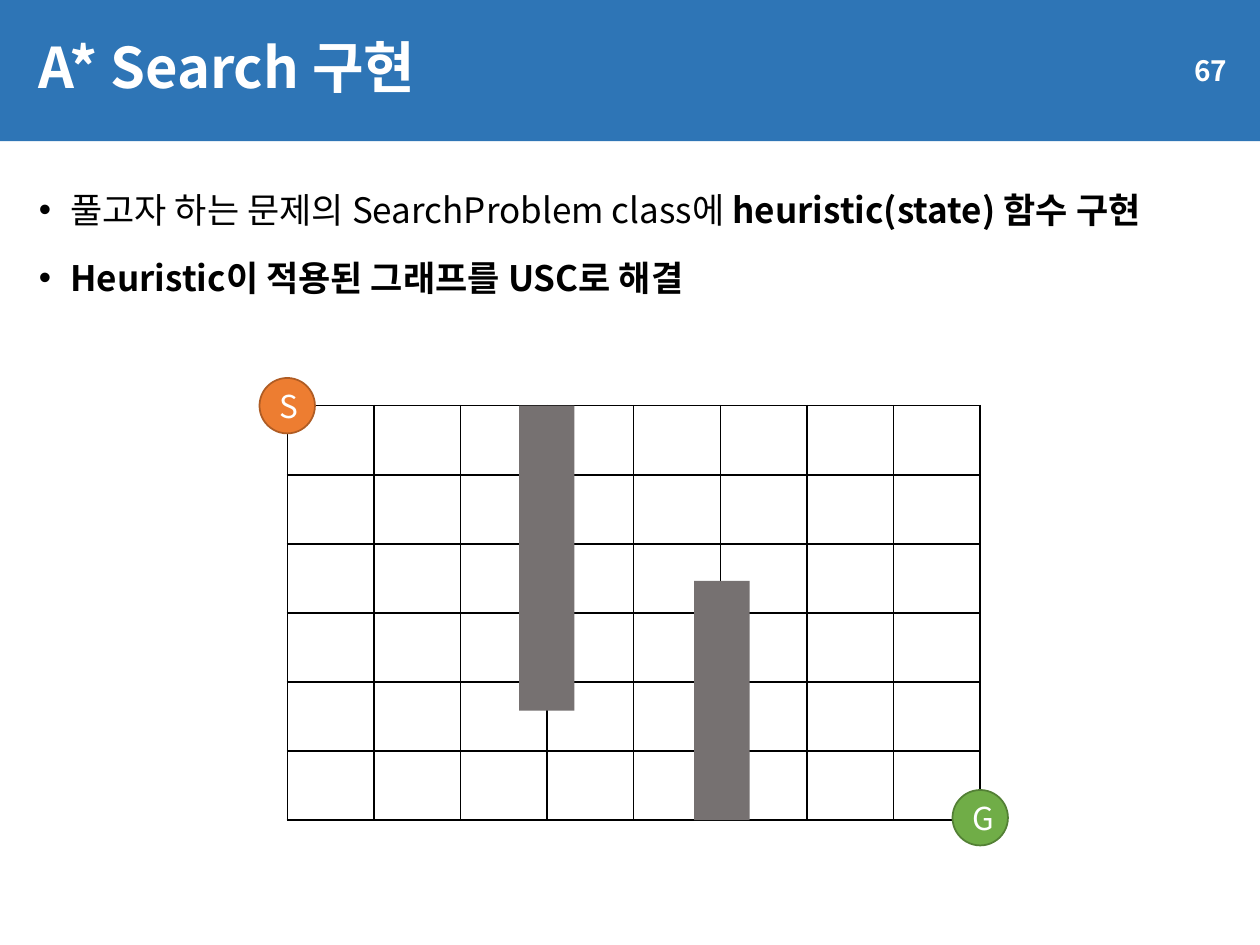
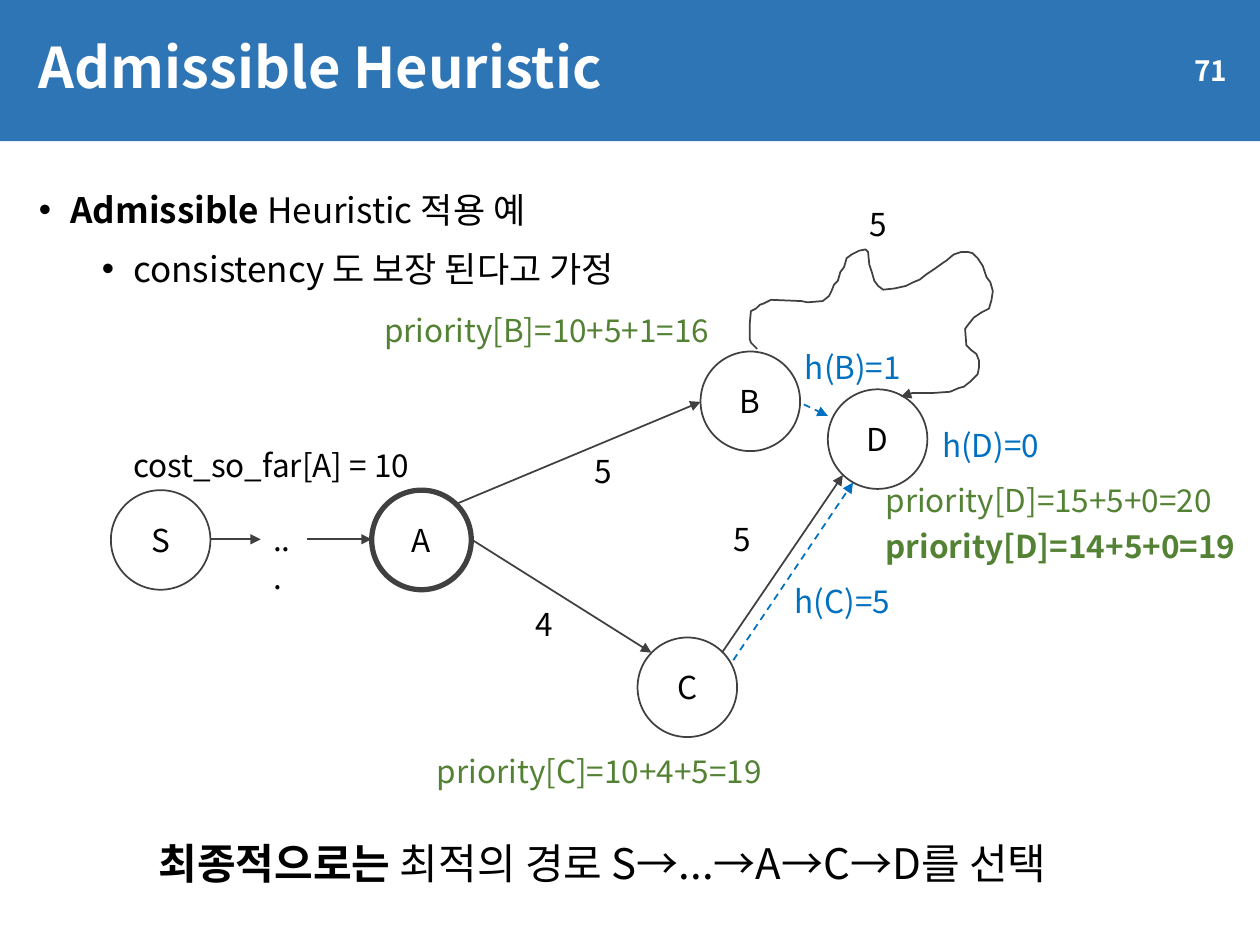
from dataclasses import dataclass
from itertools import product

from lxml.etree import SubElement
from pptx import Presentation
from pptx.dml.color import RGBColor
from pptx.enum.dml import MSO_LINE_DASH_STYLE as DASH
from pptx.enum.shapes import MSO_CONNECTOR, MSO_SHAPE
from pptx.enum.text import MSO_ANCHOR, PP_ALIGN
from pptx.oxml.ns import qn
from pptx.util import Inches, Pt

FONT = "Noto Sans CJK KR"
BAND, WHITE, BLACK, INK = "2E75B6", "FFFFFF", "000000", "404040"
WALL, BLUE, GREEN = "767171", "0070C0", "548235"
NODE_D, MARK_D = 0.79, 0.44


@dataclass
class Run:
    text: str
    bold: bool = False


@dataclass
class Bullet:
    runs: list[Run]
    level: int = 0


@dataclass
class Circle:
    text: str
    x: float
    y: float
    d: float = NODE_D
    fill: str = WHITE
    line: str = INK
    width: float = 1
    color: str = BLACK


@dataclass
class Arrow:
    start: tuple[float, float]
    end: tuple[float, float]
    color: str = INK
    dashed: bool = False


@dataclass
class Label:
    runs: list[Run]
    x: float
    y: float
    w: float
    color: str = BLACK
    size: float = 18
    h: float = 0.4


def rgb(value: str) -> RGBColor:
    return RGBColor.from_string(value)


def add_runs(p, runs: list[Run], size: float, color: str) -> None:
    for run in runs:
        r = p.add_run()
        r.text = run.text
        fmt = {"name": FONT, "size": Pt(size), "bold": run.bold}
        for key, value in fmt.items():
            setattr(r.font, key, value)
        r.font.color.rgb = rgb(color)
        SubElement(r._r.get_or_add_rPr(), qn("a:ea"), typeface=FONT)


def add_shape(s, kind, x: float, y: float, w: float, h: float, fill: str,
              line: str = "", width: float = 1):
    sp = s.shapes.add_shape(kind, Inches(x), Inches(y), Inches(w), Inches(h))
    sp.shadow.inherit = False
    sp.fill.solid()
    sp.fill.fore_color.rgb = rgb(fill)
    if line:
        sp.line.color.rgb = rgb(line)
        sp.line.width = Pt(width)
    else:
        sp.line.fill.background()
    return sp


def add_rect(s, x: float, y: float, w: float, h: float, fill: str):
    return add_shape(s, MSO_SHAPE.RECTANGLE, x, y, w, h, fill)


def write_shape(sp, text: str, size: float, color: str, align, bold: bool = False):
    tf = sp.text_frame
    tf.vertical_anchor = MSO_ANCHOR.MIDDLE
    p = tf.paragraphs[0]
    p.alignment = align
    add_runs(p, [Run(text, bold)], size, color)
    return p


def add_circle(s, c: Circle) -> None:
    sp = add_shape(s, MSO_SHAPE.OVAL, c.x, c.y, c.d, c.d, c.fill, c.line, c.width)
    write_shape(sp, c.text, 18, c.color, PP_ALIGN.CENTER)


def add_text_frame(s, x: float, y: float, w: float, h: float):
    sp = s.shapes.add_textbox(Inches(x), Inches(y), Inches(w), Inches(h))
    sp.text_frame.word_wrap = True
    return sp.text_frame


def add_label(s, label: Label) -> None:
    tf = add_text_frame(s, label.x, label.y, label.w, label.h)
    add_runs(tf.paragraphs[0], label.runs, label.size, label.color)


def add_bullets(s, bullets: list[Bullet]) -> None:
    tf = add_text_frame(s, 0.21, 1.38, 9.62, 5.96)
    for i, bullet in enumerate(bullets):
        p = tf.add_paragraph() if i else tf.paragraphs[0]
        pPr = p._p.get_or_add_pPr()
        pPr.set("marL", str(Inches(0.25 + 0.5 * bullet.level)))
        pPr.set("indent", str(Inches(-0.25)))
        SubElement(pPr, qn("a:buFont"), typeface="Arial")
        SubElement(pPr, qn("a:buChar"), char="•")
        p.line_spacing = 1.2
        if i:
            p.space_before = Pt(5 if bullet.level else 10)
        add_runs(p, bullet.runs, 20, BLACK)


def style_arrow(sp, color: str, dashed: bool = False) -> None:
    sp.line.color.rgb = rgb(color)
    sp.line.width = Pt(1)
    if dashed:
        sp.line.dash_style = DASH.DASH
    SubElement(sp.line._get_or_add_ln(), qn("a:tailEnd"), type="triangle")


def add_arrow(s, a: Arrow) -> None:
    points = [Inches(v) for v in (*a.start, *a.end)]
    sp = s.shapes.add_connector(MSO_CONNECTOR.STRAIGHT, *points)
    style_arrow(sp, a.color, a.dashed)
    SubElement(sp._element.spPr, qn("a:effectLst"))


def add_detour(s, points: list[tuple[float, float]]) -> None:
    start, *rest = [(Inches(x), Inches(y)) for x, y in points]
    builder = s.shapes.build_freeform(*start, scale=1.0)
    builder.add_line_segments(rest, close=False)
    sp = builder.convert_to_shape()
    sp.shadow.inherit = False
    sp.fill.background()
    style_arrow(sp, INK)


def add_grid(s, x: float, y: float, w: float, h: float, rows: int, cols: int) -> None:
    table = s.shapes.add_table(rows, cols, Inches(x), Inches(y), Inches(w), Inches(h)).table
    table.first_row = table.horz_banding = False
    for row, col in product(range(rows), range(cols)):
        cell = table.cell(row, col)
        tcPr = cell._tc.get_or_add_tcPr()
        for side in ("lnL", "lnR", "lnT", "lnB"):
            ln = SubElement(tcPr, qn(f"a:{side}"), w=str(Pt(1)))
            fill = SubElement(ln, qn("a:solidFill"))
            SubElement(fill, qn("a:srgbClr"), val=BLACK)
        cell.fill.background()


def new_slide(prs, title: str, number: int, bullets: list[Bullet]):
    s = prs.slides.add_slide(prs.slide_layouts[6])
    add_rect(s, 0, 0, 10, 1.12, BAND)
    sp = add_rect(s, 0.21, 0.13, 9.62, 0.85, BAND)
    write_shape(sp, title, 32, WHITE, PP_ALIGN.LEFT, True).line_spacing = 0.9
    sp = add_rect(s, 8.49, 0.36, 1.35, 0.4, BAND)
    write_shape(sp, str(number), 16, WHITE, PP_ALIGN.RIGHT, True)
    add_bullets(s, bullets)
    return s


def build_search_slide(prs) -> None:
    s = new_slide(prs, "A* Search 구현", 67, [
        Bullet([Run("풀고자 하는 문제의 SearchProblem class에 "),
                Run("heuristic(state) 함수 구현", True)]),
        Bullet([Run("Heuristic이 적용된 그래프를 USC로 해결", True)]),
    ])
    x, y, w, h = 2.28, 3.22, 5.5, 3.29
    add_grid(s, x, y, w, h, 6, 8)
    add_rect(s, 4.12, y, MARK_D, 2.42, WALL)
    add_rect(s, 5.51, 4.61, MARK_D, 1.9, WALL)
    r = MARK_D / 2
    add_circle(s, Circle("S", x - r, y - r, MARK_D, "ED7D31", "AF5C24", color=WHITE))
    add_circle(s, Circle("G", x + w - r, y + h - r - 0.02, MARK_D, "70AD47", "538035",
                         color=WHITE))


NODES = [
    Circle("S", 0.88, 3.89),
    Circle("A", 2.95, 3.89, width=3),
    Circle("B", 5.56, 2.79),
    Circle("C", 5.06, 5.06),
    Circle("D", 6.57, 3.09),
]
ARROWS = [
    Arrow((1.67, 4.28), (2.07, 4.28)),
    Arrow((2.44, 4.28), (2.95, 4.28)),
    Arrow((3.62, 4), (5.56, 3.19)),
    Arrow((3.74, 4.28), (5.17, 5.18)),
    Arrow((5.73, 5.18), (6.69, 3.77)),
    Arrow((5.82, 5.24), (6.77, 3.83), BLUE, True),
    Arrow((6.38, 3.21), (6.57, 3.3), BLUE, True),
]
LABELS = [
    Label([Run("cost_so_far[A] = 10")], 0.96, 3.49, 2.4),
    Label([Run("...")], 2.07, 4.08, 0.37),
    Label([Run("5")], 4.62, 3.54, 0.34),
    Label([Run("4")], 4.15, 4.75, 0.34),
    Label([Run("5")], 5.72, 4.08, 0.34),
    Label([Run("5")], 6.8, 1.58, 0.34),
    Label([Run("h(B)=1")], 6.29, 2.71, 1, BLUE),
    Label([Run("h(C)=5")], 6.21, 4.57, 1, BLUE),
    Label([Run("h(D)=0")], 7.38, 3.33, 1, BLUE),
    Label([Run("priority[B]=10+5+1=16")], 2.95, 2.42, 2.9, GREEN),
    Label([Run("priority[C]=10+4+5=19")], 3.37, 5.92, 2.9, GREEN),
    Label([Run("priority[D]=15+5+0=20")], 6.93, 3.77, 2.9, GREEN),
    Label([Run("priority[D]=14+5+0=19", True)], 6.93, 4.13, 3.06, GREEN),
    Label([Run("최종적으로는", True), Run(" 최적의 경로 S→...→A→C→D를 선택")],
          1.16, 6.6, 7.79, size=24, h=0.5),
]
DETOUR = [
    (6.01, 2.77), (5.96, 2.72), (5.95, 2.69), (5.95, 2.58), (5.96, 2.47), (6, 2.45),
    (6.03, 2.42), (6.06, 2.41), (6.12, 2.38), (6.36, 2.39), (6.41, 2.4), (6.53, 2.39),
    (6.58, 2.35), (6.6, 2.31), (6.62, 2.26), (6.65, 2.23), (6.67, 2.16), (6.7, 2.12),
    (6.72, 2.05), (6.76, 2.02), (6.82, 1.99), (6.87, 1.98), (6.89, 2), (6.9, 2.1),
    (6.92, 2.16), (6.94, 2.23), (6.97, 2.27), (7.01, 2.3), (7.1, 2.29), (7.19, 2.27),
    (7.25, 2.24), (7.3, 2.22), (7.35, 2.18), (7.41, 2.14), (7.48, 2.09), (7.51, 2.07),
    (7.57, 2.02), (7.63, 2), (7.68, 2), (7.72, 2.01), (7.76, 2.05), (7.8, 2.11),
    (7.82, 2.17), (7.83, 2.2), (7.86, 2.24), (7.88, 2.31), (7.87, 2.38), (7.85, 2.45),
    (7.79, 2.48), (7.73, 2.52), (7.69, 2.57), (7.66, 2.61), (7.67, 2.74), (7.71, 2.78),
    (7.75, 2.81), (7.77, 2.86), (7.77, 2.92), (7.76, 2.97), (7.7, 3.03), (7.65, 3.07),
    (7.61, 3.08), (7.54, 3.11), (7.4, 3.12), (7.24, 3.12), (7.15, 3.15),
]


def build_heuristic_slide(prs) -> None:
    s = new_slide(prs, "Admissible Heuristic", 71, [
        Bullet([Run("Admissible", True), Run(" Heuristic 적용 예")]),
        Bullet([Run("consistency 도 보장 된다고 가정")], 1),
    ])
    for node in NODES:
        add_circle(s, node)
    for arrow in ARROWS:
        add_arrow(s, arrow)
    add_detour(s, DETOUR)
    for label in LABELS:
        add_label(s, label)


def main() -> None:
    prs = Presentation()
    prs.slide_width, prs.slide_height = Inches(10), Inches(7.5)
    build_search_slide(prs)
    build_heuristic_slide(prs)
    prs.save("out.pptx")


if __name__ == "__main__":
    main()
